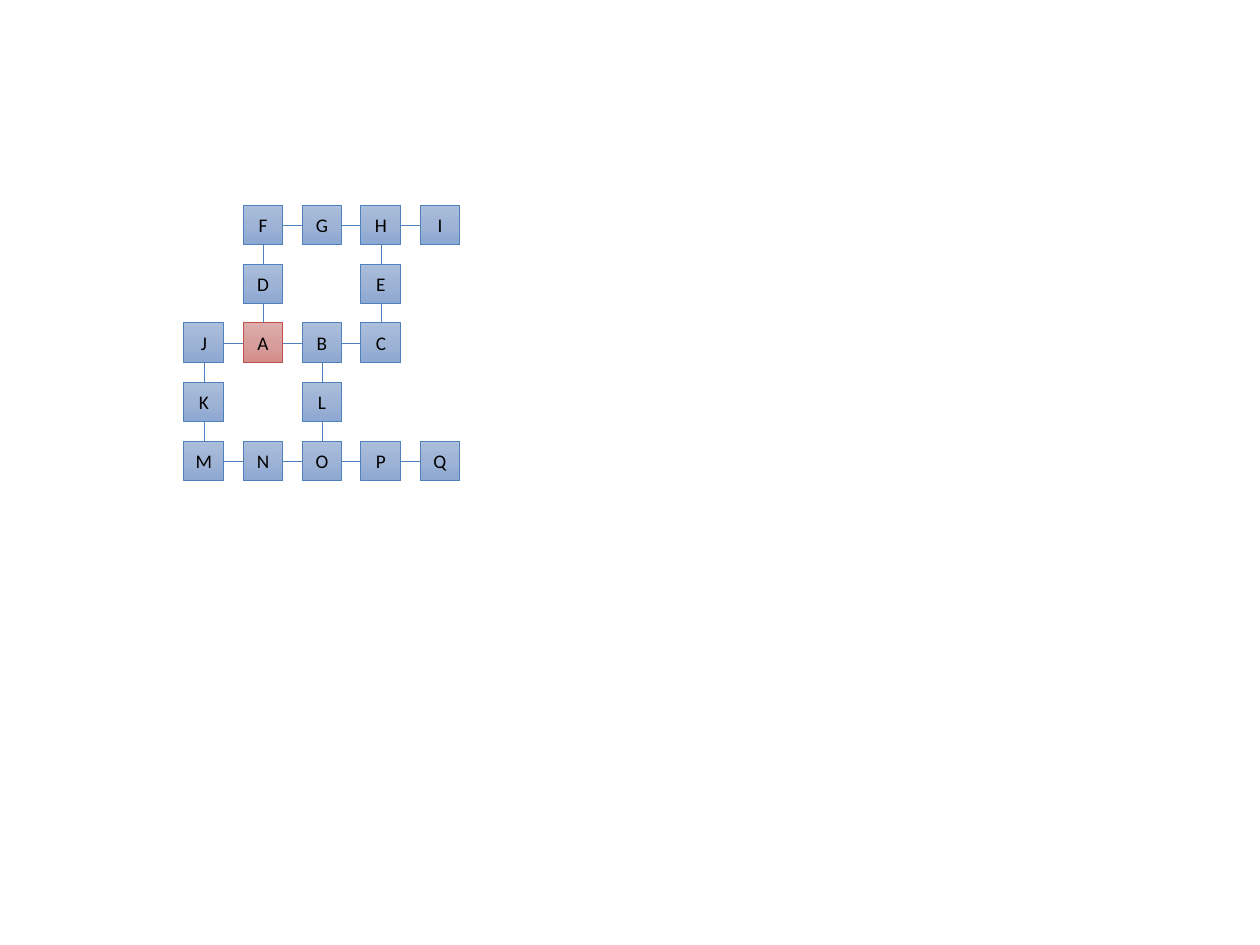
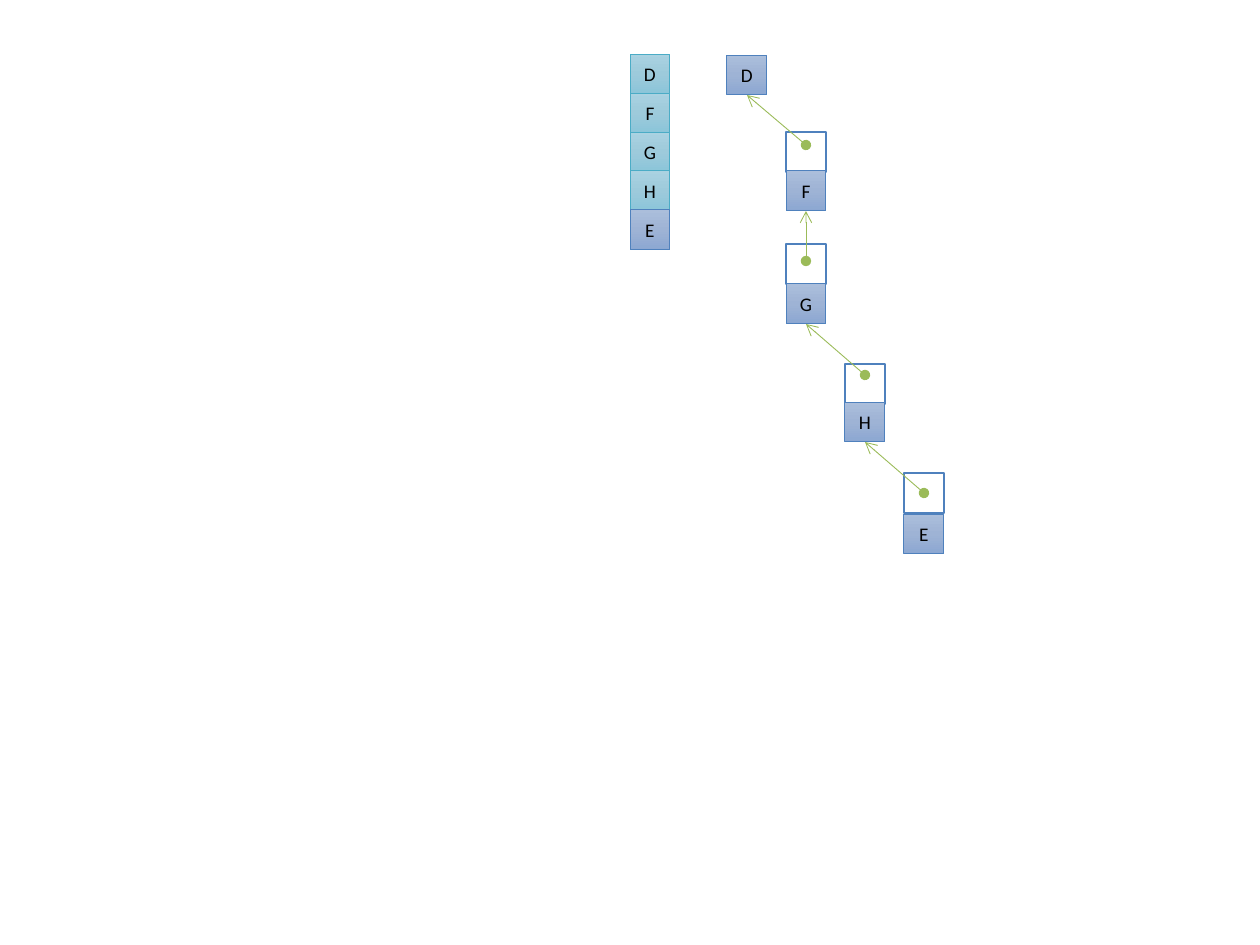
"""Builds a letter maze and the path that a search traces through it."""
from copy import deepcopy

from lxml import etree
from pptx import Presentation
from pptx import util as u
from pptx.dml.color import RGBColor
from pptx.enum import shapes, text
from pptx.oxml.ns import qn

MAZE = [" FGHI", " D E", "JABC", "K L", "MNOPQ"]
START = "A"
EDGES = "JA FG GH HI FD DA AB BC HE EC JK KM MN NO BL LO OP PQ".split()
QUEUE = [("D", "teal"), ("F", "teal"), ("G", "teal"), ("H", "teal"), ("E", "blue")]
# letter, column, top of letter, top of pointer slot, height of dot
CHAIN = [
    ("D", 0, 55, None, None),
    ("F", 1, 171, 132, 145),
    ("G", 1, 284, 244, 261),
    ("H", 2, 402, 364, 375),
    ("E", 3, 514, 473, 493),
]

COLORS = {"blue": "4F81BD", "red": "C0504D", "teal": "4BACC6",
          "green": "9BBB59", "white": "FFFFFF", "black": "000000"}
FADES = {"blue": ("ABBEDB", "9EB3D5", "8CA7D2"),
         "red": ("DDACAB", "D79E9D", "D48D8B"),
         "teal": ("AAD2E1", "9DCADB", "8BC5D9")}
FONT = "Calibri"
SIDE, STEP, STACK = 40, 59, 39
MAZE_X, MAZE_Y = 184, 205
QUEUE_X, QUEUE_Y = 630, 54
CHAIN_X = 727


def px(n):
    return u.Emu(round(n * 914400 / 126))


def rgb(name):
    return RGBColor.from_string(COLORS.get(name, name))


def square(slide, x, y, hue, width):
    box = slide.shapes.add_shape(
        shapes.MSO_SHAPE.RECTANGLE, px(x), px(y), px(SIDE), px(SIDE))
    box.shadow.inherit = False
    box.line.color.rgb = rgb(hue)
    box.line.width = u.Pt(width)
    return box


def slot(slide, x, y):
    box = square(slide, x, y, "blue", 1)
    box.fill.solid()
    box.fill.fore_color.rgb = rgb("white")


def fade(box, hue):
    box.fill.gradient()
    box.fill.gradient_angle = 270
    first = box._element.spPr.find(".//" + qn("a:gs"))
    first.addnext(deepcopy(first))
    for stop, place, color in zip(box.fill.gradient_stops, (0, 0.5, 1), FADES[hue]):
        stop.position = place
        stop.color.rgb = rgb(color)


def tile(slide, x, y, letter, hue="blue"):
    box = square(slide, x, y, hue, 0.5)
    fade(box, hue)
    frame = box.text_frame
    frame.margin_left = frame.margin_right = 0
    frame.margin_top = frame.margin_bottom = 0
    frame.vertical_anchor = text.MSO_ANCHOR.MIDDLE
    para = frame.paragraphs[0]
    para.alignment = text.PP_ALIGN.CENTER
    run = para.add_run()
    run.text = letter
    run.font.name, run.font.size = FONT, u.Pt(11)
    run.font.color.rgb = rgb("black")


def link(slide, start, end, hue, ends=()):
    line = slide.shapes.add_connector(
        shapes.MSO_CONNECTOR.STRAIGHT, *map(px, start + end))
    line.line.color.rgb = rgb(hue)
    line.line.width = u.Pt(0.5)
    props = line._element.spPr
    for tag, kind in ends:
        etree.SubElement(props.find(qn("a:ln")), qn(tag), type=kind)
    etree.SubElement(props, qn("a:effectLst"))


def maze(slide):
    spots = {letter: (MAZE_X + STEP * col, MAZE_Y + STEP * row)
             for row, line in enumerate(MAZE)
             for col, letter in enumerate(line) if letter != " "}
    for letter, (x, y) in spots.items():
        tile(slide, x, y, letter, "red" if letter == START else "blue")
    half = SIDE // 2
    for a, b in EDGES:
        (ax, ay), (bx, by) = spots[a], spots[b]
        if ay == by:
            link(slide, (ax + SIDE, ay + half), (bx, by + half), "blue")
        else:
            link(slide, (ax + half, ay + SIDE), (bx + half, by), "blue")


def trace(slide):
    half = SIDE // 2
    for letter, col, top, gap, dot in CHAIN:
        x = CHAIN_X + STEP * col
        if gap is not None:
            slot(slide, x, gap)
        tile(slide, x, top, letter)
    for last, item in zip(CHAIN, CHAIN[1:]):
        start = (CHAIN_X + STEP * last[1] + half, last[2] + SIDE)
        end = (CHAIN_X + STEP * item[1] + half, item[4])
        link(slide, start, end, "green",
             (("a:headEnd", "arrow"), ("a:tailEnd", "oval")))
    for i, (letter, hue) in enumerate(QUEUE):
        tile(slide, QUEUE_X, QUEUE_Y + STACK * i, letter, hue)


def main():
    deck = Presentation()
    deck.slide_width, deck.slide_height = px(1260), px(945)
    for draw in (maze, trace):
        draw(deck.slides.add_slide(deck.slide_layouts[6]))
    deck.save("out.pptx")


if __name__ == "__main__":
    main()
